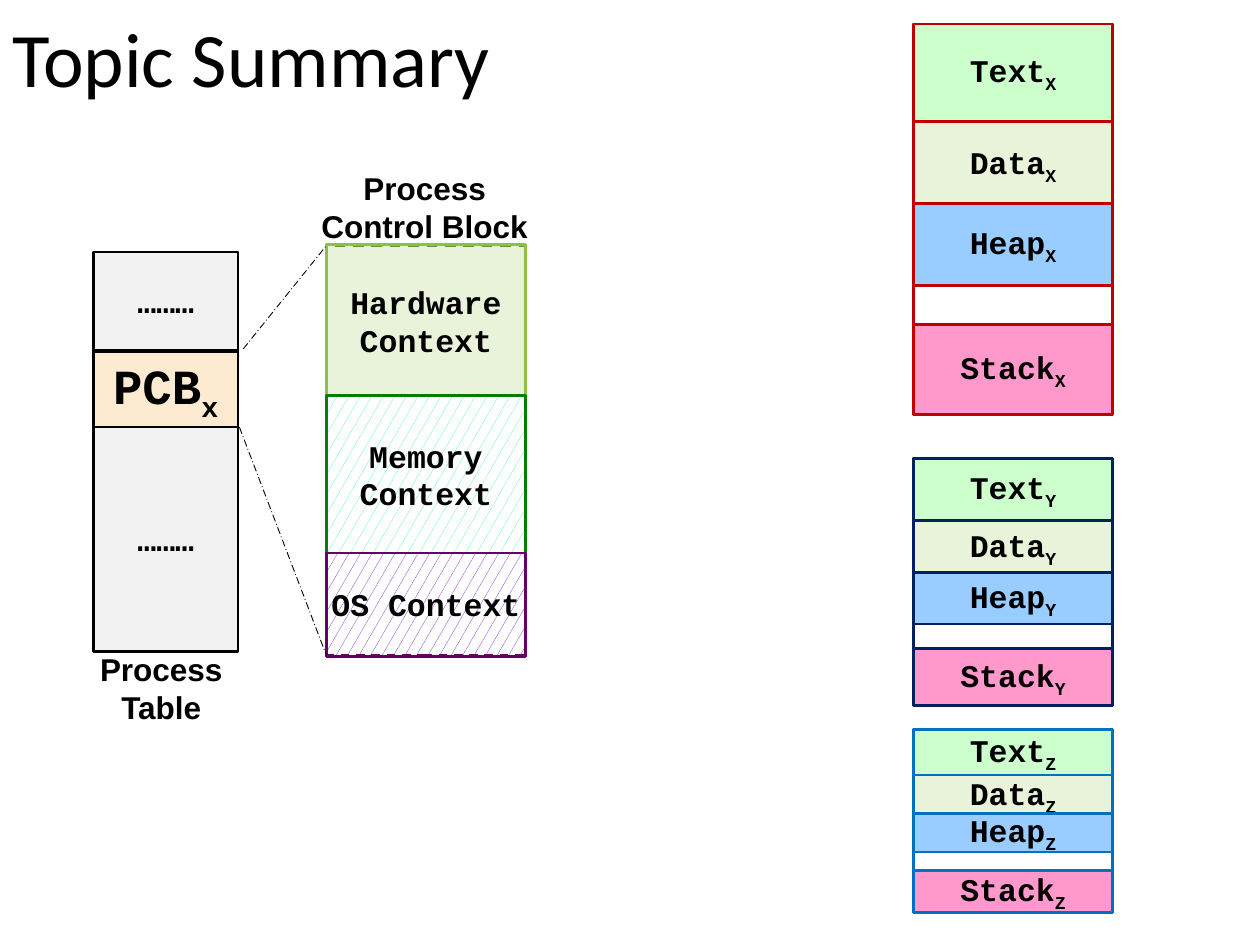
"""Builds the topic summary slide on processes and their memory."""
from lxml.etree import SubElement
from pptx import Presentation
from pptx.dml.color import RGBColor
from pptx.enum.dml import MSO_LINE_DASH_STYLE as Dash, MSO_PATTERN_TYPE as Pattern
from pptx.enum.shapes import MSO_CONNECTOR as Connector, MSO_SHAPE as Shape
from pptx.enum.text import MSO_ANCHOR as Anchor, MSO_AUTO_SIZE as AutoSize, PP_ALIGN as Align
from pptx.oxml.ns import qn
from pptx.util import Inches, Pt

COLORS = {
    "black": "000000", "white": "FFFFFF", "gray": "F2F2F2", "cream": "FCEBD1",
    "mint": "CCFFCC", "pale": "E8F3DA", "blue": "99CCFF", "pink": "FF99CC",
    "red": "C00000", "navy": "002060", "azure": "0070C0", "olive": "699331",
    "lime": "8BC145", "green": "008000", "purple": "660066",
    "spring": "34F499", "violet": "6600CC",
}
MONO = "Courier New"

TITLE = "Topic Summary"
TABLE_LEFT, TABLE_WIDTH = 0.74, 1.15
TABLE_ROWS = [
    (3.39, 1.78, "gray", "………", "", 18),
    (2, 0.78, "gray", "………", "", 18),
    (2.79, 0.6, "cream", "PCB", "x", 28),
]
BLOCK_LEFT, BLOCK_WIDTH = 2.59, 1.58
BLOCK_ROWS = [
    (4.39, 0.81, ("violet", "white"), "purple", 1.25, Dash.DASH, ["OS Context"], False),
    (1.95, 1.19, "pale", "olive", 1.5, Dash.DASH, ["Hardware", "Context"], True),
    (1.94, 1.21, None, "lime", 1.5, None, [], True),
    (3.14, 1.25, ("spring", "white"), "green", 1.5, None, ["Memory Context"], True),
    (4.39, 0.82, None, "purple", 1.5, None, [], True),
]
CAPTIONS = [
    ("Process Control Block", 2.43, 1.4, 1.88, 0.48),
    ("Process Table", 0.62, 5.22, 1.32, 0.48),
]
ZOOM_LINES = [(1.93, 2.77, 2.59, 1.95), (1.9, 3.39, 2.59, 5.2)]
MEMORY_LEFT, MEMORY_WIDTH = 7.25, 1.58
PROCESSES = [("X", 0.19, 3.1, "red"), ("Y", 3.64, 1.96, "navy"), ("Z", 5.79, 1.45, "azure")]
SEGMENTS = [
    ("Text", 0, 0.25, "mint"),
    ("Data", 0.25, 0.22, "pale"),
    ("Stack", 0.77, 0.23, "pink"),
    ("Heap", 0.46, 0.21, "blue"),
]


def color(name):
    return RGBColor.from_string(COLORS[name])


def write(frame, lines, size=18, font=MONO, subscript="", wrap=True, bold=True, align=Align.CENTER):
    frame.word_wrap = wrap
    frame.auto_size = AutoSize.NONE
    frame.vertical_anchor = Anchor.MIDDLE
    for number, line in enumerate(lines):
        para = frame.add_paragraph() if number else frame.paragraphs[0]
        para.alignment = align
        for text in filter(None, (line, subscript)):
            span = para.add_run()
            span.text = text
            span.font.size = Pt(size)
            span.font.name = font
            span.font.bold = bold
            span.font.color.rgb = color("black")
            if text == subscript:
                span.font._element.set("baseline", "-25000")


def add_box(page, left, top, width, height, fill, line, weight=1.5, dash=None):
    box = page.shapes.add_shape(
        Shape.RECTANGLE, Inches(left), Inches(top), Inches(width), Inches(height))
    box.shadow.inherit = False
    if fill is None:
        box.fill.background()
    elif isinstance(fill, tuple):
        box.fill.patterned()
        box.fill.pattern = Pattern.SMALL_CONFETTI
        box.fill.fore_color.rgb, box.fill.back_color.rgb = map(color, fill)
    else:
        box.fill.solid()
        box.fill.fore_color.rgb = color(fill)
    box.line.color.rgb = color(line)
    box.line.width = Pt(weight)
    if dash:
        box.line.dash_style = dash
    return box


def add_title(page):
    title = page.shapes.title
    title.left, title.top, title.width, title.height = map(Inches, (0, -0.02, 10, 1.04))
    write(title.text_frame, [TITLE], 44, "Calibri", bold=False, align=Align.LEFT)
    title.text_frame.paragraphs[0].line_spacing = 0.9


def add_control_block(page):
    for top, height, fill, line, weight, dash, lines, wrap in BLOCK_ROWS:
        box = add_box(page, BLOCK_LEFT, top, BLOCK_WIDTH, height, fill, line, weight, dash)
        write(box.text_frame, lines, wrap=wrap)


def add_process_table(page):
    for top, height, fill, text, subscript, size in TABLE_ROWS:
        box = add_box(page, TABLE_LEFT, top, TABLE_WIDTH, height, fill, "black")
        write(box.text_frame, [text], size, subscript=subscript, wrap=False)


def add_captions(page):
    for text, *place in CAPTIONS:
        box = page.shapes.add_textbox(*map(Inches, place))
        write(box.text_frame, [text], font="Arial")


def add_zoom_lines(page):
    for ends in ZOOM_LINES:
        connector = page.shapes.add_connector(Connector.STRAIGHT, *map(Inches, ends))
        connector.line.color.rgb = color("black")
        connector.line.width = Pt(0.5)
        connector.line.dash_style = Dash.LONG_DASH_DOT
        SubElement(connector._element.spPr, qn("a:effectLst"))


def add_memory(page, name, top, height, line):
    add_box(page, MEMORY_LEFT, top, MEMORY_WIDTH, height, None, line)
    for text, start, share, fill in SEGMENTS:
        box = add_box(page, MEMORY_LEFT, top + start * height, MEMORY_WIDTH,
                      share * height, fill, line)
        write(box.text_frame, [text], subscript=name, wrap=False)


def main():
    deck = Presentation()
    deck.slide_width, deck.slide_height = Inches(10), Inches(7.5)
    page = deck.slides.add_slide(deck.slide_layouts[5])
    add_title(page)
    add_control_block(page)
    add_process_table(page)
    add_captions(page)
    add_zoom_lines(page)
    for process in PROCESSES:
        add_memory(page, *process)
    deck.save("out.pptx")


if __name__ == "__main__":
    main()
